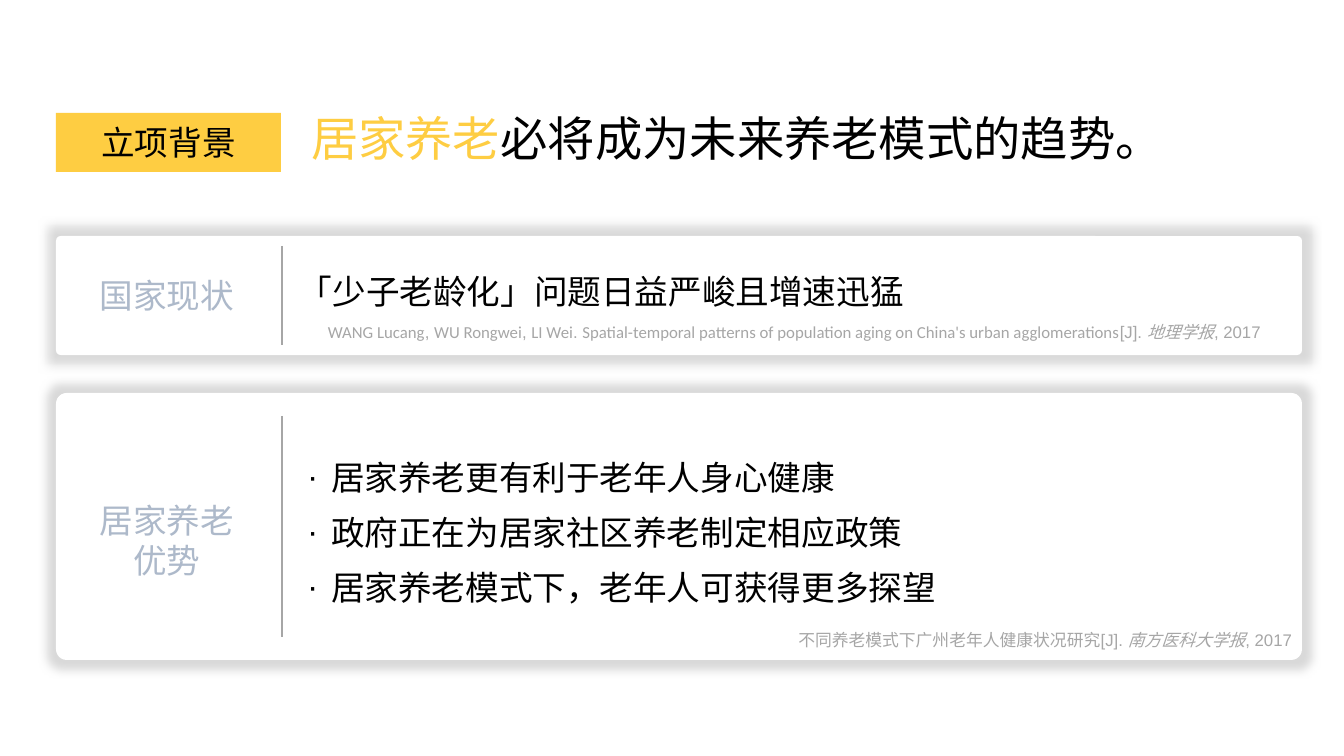
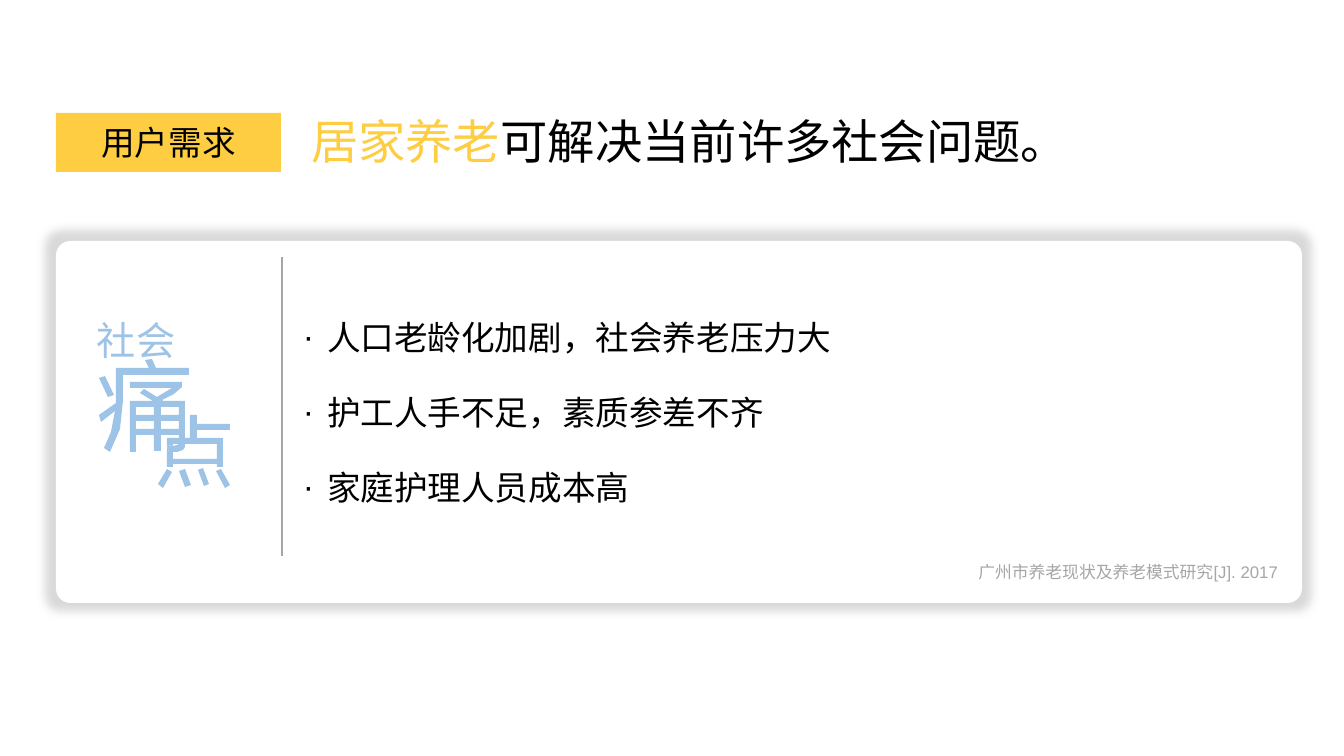
import pptx
import pptx.util
import pptx.dml.color
import pptx.enum.shapes
import pptx.enum.text
import pptx.oxml
import pptx.oxml.ns

PX = 12192000 / 1344  # EMU per pixel
YELLOW, BLACK, WHITE = "FECD42", "000000", "FFFFFF"
LABEL, GREY, SKY, GLOW = "ADB9CA", "A6A6A6", "9DC3E6", "D9D9D9"
HAN = "Noto Sans CJK JP"
NAMESPACE = pptx.oxml.ns.nsdecls("a")
SHAPE = pptx.enum.shapes.MSO_SHAPE
ALIGN = pptx.enum.text.PP_ALIGN
MIDDLE = pptx.enum.text.MSO_ANCHOR.MIDDLE
TOP = pptx.enum.text.MSO_ANCHOR.TOP


def colour(code):
    return pptx.dml.color.RGBColor.from_string(code)


def write(text, page, at, size=24, ink=BLACK, font=HAN, align=ALIGN.LEFT,
          anchor=MIDDLE, wrap=True, fill=None, leading=None, bullet=False):
    """Text is a list of paragraphs; each is a list of (words, format) spans."""
    place = [round(length * PX) for length in at]
    if fill:
        box = page.shapes.add_shape(SHAPE.RECTANGLE, *place)
        box.shadow.inherit = False
        box.fill.solid()
        box.fill.fore_color.rgb = colour(fill)
        box.line.fill.background()
    else:
        box = page.shapes.add_textbox(*place)
    frame = box.text_frame
    frame.word_wrap = wrap
    frame.vertical_anchor = anchor
    frame.margin_left = frame.margin_right = 0
    frame.margin_top = frame.margin_bottom = 0
    if isinstance(text, str):
        text = [[(text, {})]]
    for index, spans in enumerate(text):
        para = frame.add_paragraph() if index else frame.paragraphs[0]
        para.alignment = align
        if leading:
            para.line_spacing = pptx.util.Pt(leading)
        if bullet:
            props = para._p.get_or_add_pPr()
            props.set("marL", str(round(24 * PX)))
            props.set("indent", str(round(-24 * PX)))
            for tag in ('a:buFont {} typeface="Arial"', 'a:buChar {} char="·"'):
                props.append(pptx.oxml.parse_xml("<" + tag.format(NAMESPACE) + "/>"))
        for words, look in spans:
            span = para.add_run()
            span.text = words
            span.font.size = pptx.util.Pt(size)
            span.font.name = look.get("font", font)
            span.font.italic = look.get("italic", False)
            span.font.color.rgb = colour(look.get("ink", ink))
            span._r.get_or_add_rPr().find(pptx.oxml.ns.qn("a:latin")).addnext(
                pptx.oxml.parse_xml(f'<a:ea {NAMESPACE} typeface="{HAN}"/>'))


deck = pptx.Presentation()
deck.slide_width = round(1344 * PX)
deck.slide_height = round(756 * PX)

# Tag, headline and top of the headline; cards as (top, height, line top, line bottom)
slides = [
    ("立项背景", "必将成为未来养老模式的趋势。", 108,
     [(236, 119, 246, 345), (393, 267, 416, 637)]),
    ("用户需求", "可解决当前许多社会问题。", 111,
     [(241, 362, 257, 556)]),
]
pages = []
for tag, headline, headline_top, cards in slides:
    page = deck.slides.add_slide(deck.slide_layouts[6])
    pages.append(page)

    # Heading
    write(tag, page, (56, 113, 225, 59), fill=YELLOW, align=ALIGN.CENTER)
    write([[("居家养老", {"ink": YELLOW}), (headline, {})]], page,
          (311, headline_top, 870, 60), size=33.8, wrap=False)

    # Glowing cards, each with a divider
    for top, height, line_top, line_bottom in cards:
        place = [round(length * PX) for length in (56, top, 1246, height)]
        card = page.shapes.add_shape(SHAPE.ROUNDED_RECTANGLE, *place)
        card.adjustments[0] = 0.04
        card.fill.solid()
        card.fill.fore_color.rgb = colour(WHITE)
        card.line.fill.background()
        card.shadow.inherit = False
        effects = card._element.spPr.find(pptx.oxml.ns.qn("a:effectLst"))
        effects.append(pptx.oxml.parse_xml(
            f'<a:glow {NAMESPACE} rad="{round(20 * PX)}"><a:srgbClr val="{GLOW}"/></a:glow>'))

        ends = [round(length * PX) for length in (282, line_top, 282, line_bottom)]
        divider = page.shapes.add_connector(
            pptx.enum.shapes.MSO_CONNECTOR.STRAIGHT, *ends)
        divider.line.color.rgb = colour(GREY)
        divider.line.width = pptx.util.Pt(2)
        divider._element.spPr.append(
            pptx.oxml.parse_xml(f"<a:effectLst {NAMESPACE}/>"))

background, needs = pages

# Card labels
write("国家现状", background, (97, 270, 140, 50), ink=LABEL, align=ALIGN.CENTER)
write("居家养老优势", background, (97, 494, 140, 92), ink=LABEL,
      align=ALIGN.CENTER, leading=28.8)

# Interlocking lettering: each stroke is a list of contours in px
strokes = [
    [[(178, 438), (185, 438), (185, 444), (178, 444)]],
    [[(167, 445), (173, 446), (173, 452), (169, 452)]],
    [[(152, 359), (156, 368), (189, 368), (189, 375), (123, 375), (123, 401),
      (120, 429), (110, 452), (104, 448), (111, 432), (115, 411), (101, 422),
      (99, 415), (116, 403), (116, 368), (149, 368), (145, 360)]],
    [[(105, 376), (114, 395), (108, 397), (99, 378)]],
    [[(130, 382), (182, 382), (182, 387), (174, 394), (162, 400), (163, 401),
      (185, 401), (185, 438), (179, 438), (179, 435), (161, 435), (161, 451),
      (154, 451), (154, 435), (136, 435), (136, 452), (130, 452), (130, 401),
      (153, 401), (140, 393), (144, 389), (157, 397), (172, 388), (130, 388)]]
    + [[(x, y), (x, y + 8), (x + 18, y + 8), (x + 18, y)]
       for x in (136, 161) for y in (407, 421)],
    [[(190, 415), (197, 415), (197, 424), (230, 424), (230, 430), (197, 430),
      (197, 438), (223, 438), (223, 467), (217, 467), (217, 464), (173, 464),
      (173, 467), (167, 467), (167, 438), (179, 438), (178, 444), (173, 444),
      (173, 446), (167, 445), (169, 452), (173, 452), (173, 459), (217, 459),
      (217, 444), (185, 444), (185, 438), (190, 438)]],
    [[(178, 444), (185, 444), (185, 447), (183, 450), (177, 452), (173, 452),
      (173, 446), (178, 445)]],
    [[(203, 468), (209, 484), (204, 486), (198, 470)]],
    [[(221, 469), (230, 485), (225, 488), (216, 471)]],
    [[(185, 469), (191, 485), (185, 487), (179, 471)]],
    [[(167, 469), (172, 472), (163, 488), (158, 484)]],
]
for contours in strokes:
    builder = None
    for start, *rest in contours:
        if builder is None:
            builder = needs.shapes.build_freeform(*start, scale=PX)
        else:
            builder.move_to(*start)
        builder.add_line_segments(rest, close=True)
    stroke = builder.convert_to_shape()
    stroke.shadow.inherit = False
    stroke.fill.solid()
    stroke.fill.fore_color.rgb = colour(SKY)
    stroke.line.fill.background()
write("社会", needs, (97, 312, 100, 56), size=28, ink=SKY)

# Statement and bullet lists
write("「少子老龄化」问题日益严峻且增速迅猛", background, (299, 266, 760, 50))
lists = [
    (background, 307, 442, 55,
     ["居家养老更有利于老年人身心健康", "政府正在为居家社区养老制定相应政策",
      "居家养老模式下，老年人可获得更多探望"]),
    (needs, 303, 282, 75,
     ["人口老龄化加剧，社会养老压力大", "护工人手不足，素质参差不齐", "家庭护理人员成本高"]),
]
for page, left, top, pitch, points in lists:
    write([[(point, {})] for point in points], page,
          (left, top, 700, pitch * len(points)), anchor=TOP,
          leading=round(pitch * 72 / 100.8, 1), bullet=True)

# Citations
latin = {"font": "Calibri"}
journal = {"italic": True}
aging = [
    ("WANG Lucang", latin), (", ", {}), ("WU Rongwei", latin), (", ", {}),
    ("LI Wei", latin), (". ", {}),
    ("Spatial-temporal patterns of population aging on China's urban agglomerations", latin),
    ("[J]. ", {}), ("地理学报", journal), (", 2017", {}),
]
health = [("不同养老模式下广州老年人健康状况研究", latin), ("[J]. ", {}),
          ("南方医科大学报", journal), (", 2017", {})]
models = [("广州市养老现状及养老模式研究[J]. 2017", {})]
for page, spans, left, top, width, align in [
    (background, aging, 328, 320, 964, ALIGN.LEFT),
    (background, health, 328, 628, 964, ALIGN.RIGHT),
    (needs, models, 315, 560, 963, ALIGN.RIGHT),
]:
    write([spans], page, (left, top, width, 24), size=12, ink=GREY,
          font="Arial", align=align)

deck.save("out.pptx")
